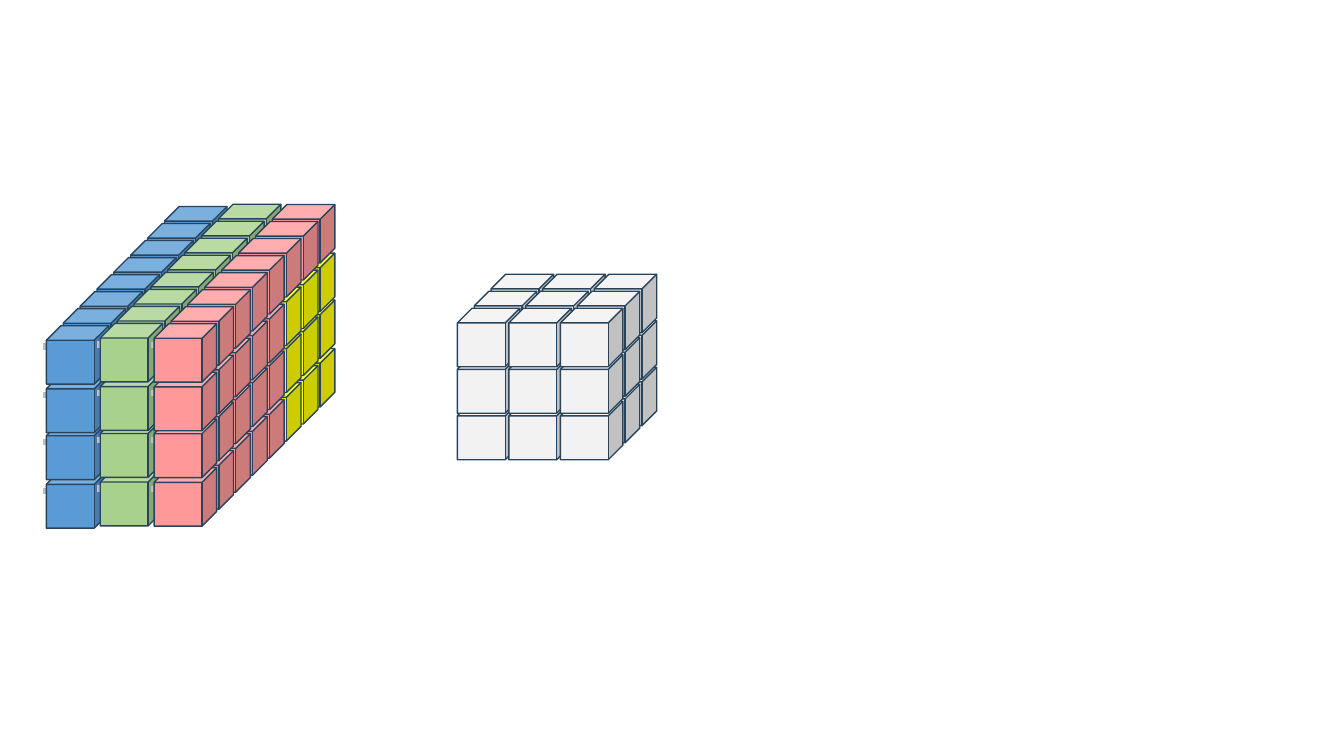
from lxml import etree
from pptx import Presentation
from pptx.dml.color import RGBColor
from pptx.enum import shapes
from pptx.oxml import ns
from pptx.util import Pt

COLORS = {
    "blue": "5B9BD5", "green": "A9D18E", "pink": "FF9999", "yellow": "FFFF00",
    "kernel": "F2F2F2", "edge": "28445D", "arrow": "BFBFBF",
}
CUBE_W, CUBE_H = 44.64, 41.76
DEPTH_X, DEPTH_Y = 12.06, 12.16  # shift from one cube to the one behind it

prs = Presentation()
prs.slide_width, prs.slide_height = Pt(960), Pt(540)
slide = prs.slides.add_slide(prs.slide_layouts[6])


def add_cube(parent, left, top, color):
    cube = parent.add_shape(shapes.MSO_SHAPE.CUBE, Pt(left), Pt(top), Pt(CUBE_W), Pt(CUBE_H))
    cube.shadow.inherit = False
    cube.fill.solid()
    cube.fill.fore_color.rgb = RGBColor.from_string(COLORS[color])
    cube.line.color.rgb = RGBColor.from_string(COLORS["edge"])
    cube.line.width = Pt(1)


def add_row_arrow(left, top):
    arrow = slide.shapes.add_connector(
        shapes.MSO_CONNECTOR.STRAIGHT, Pt(left), Pt(top), Pt(left + 35.75), Pt(top))
    arrow.line.color.rgb = RGBColor.from_string(COLORS["arrow"])
    arrow.line.width = Pt(4.5)
    etree.SubElement(arrow.line._get_or_add_ln(), ns.qn("a:tailEnd"), type="triangle")
    etree.SubElement(arrow._element.spPr, ns.qn("a:effectLst"))


# Input volume: 3 channels of 4 rows, each 8 cubes deep
input_columns = [("blue", 33.1, 232.6), ("green", 71.6, 231), ("pink", 110.1, 231.2)]
row_offsets = [0, 34.7, 68.2, 102.9]
for channel, left, top in input_columns:
    for row in reversed(range(4)):
        row_top = top + row_offsets[row]
        add_row_arrow(left - 2.1, row_top + 15)
        for depth in reversed(range(8)):
            highlighted = channel == "pink" and row > 0 and depth >= 5
            add_cube(slide.shapes, left + depth * DEPTH_X, row_top - depth * DEPTH_Y,
                     "yellow" if highlighted else channel)

# Kernel: 3 x 3 x 3 cubes
kernel = slide.shapes.add_group_shape()
for depth in reversed(range(3)):
    for column in range(3):
        for row in reversed(range(3)):
            add_cube(kernel.shapes, 326.7 + column * 36.8 + depth * DEPTH_X,
                     220.2 + row * 33.2 - depth * DEPTH_Y, "kernel")

prs.save("out.pptx")
